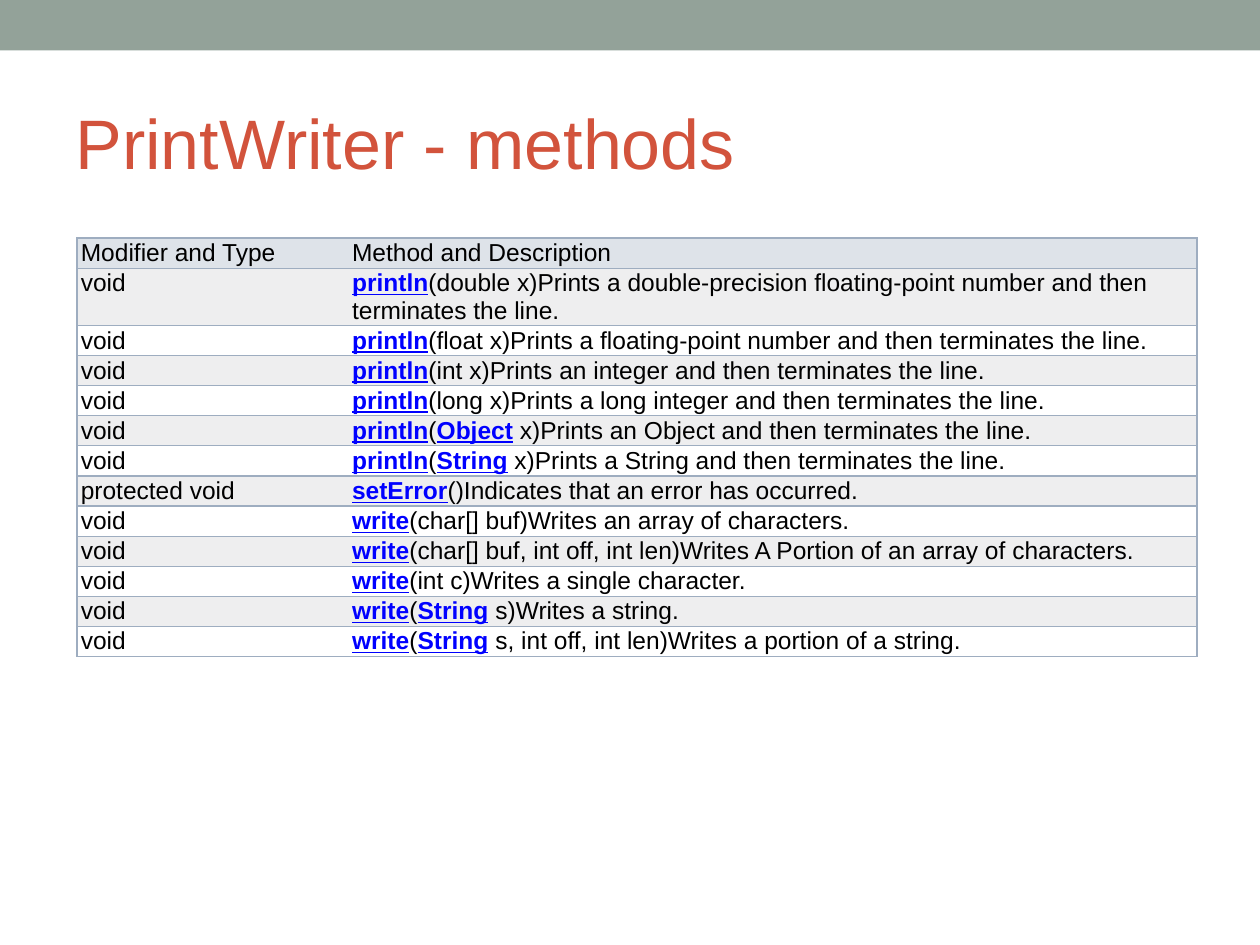
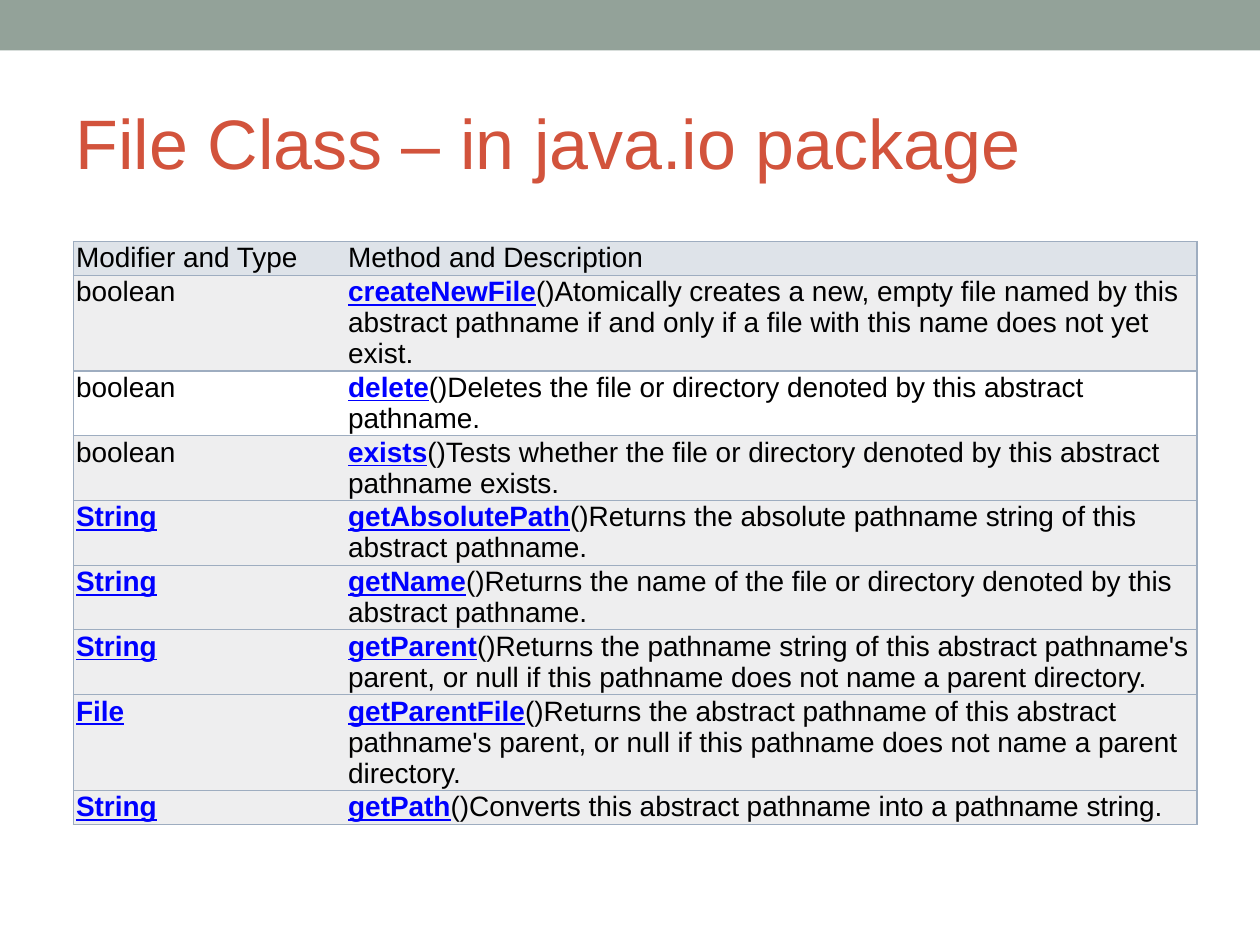
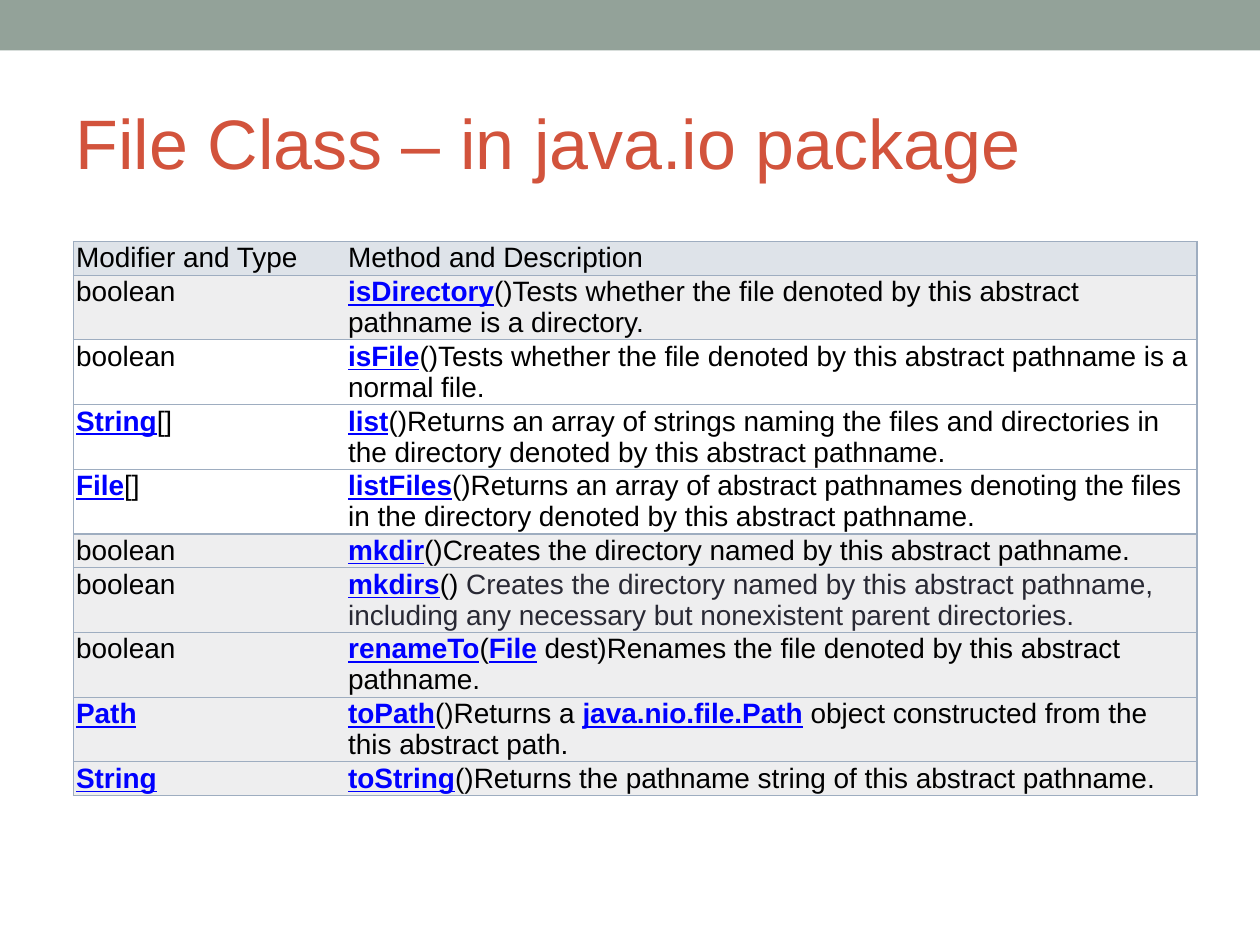
from lxml.etree import SubElement
from pptx import Presentation
from pptx.dml.color import RGBColor
from pptx.enum.shapes import MSO_SHAPE
from pptx.enum.text import MSO_ANCHOR, MSO_AUTO_SIZE, PP_ALIGN
from pptx.oxml.ns import qn
from pptx.util import Pt

FONT = "Arial"
BAND = "93A299"
TITLE = "D2533C"
TEXT = "000000"
MUTED = "292934"
LINK = "0000FF"
BORDER = "9EADC0"
HEADER = "DEE3E9"
SHADED = "EEEEEF"
WHITE = "FFFFFF"
NO_STYLE = "{2D5ABB26-0587-4C30-8999-92F81FD0307C}"

HEADINGS = ("Modifier and Type", "Method and Description", 1)

WRITER_ROWS = [
    ("void", "*println*(double x)Prints a double-precision floating-point number and then terminates the line.", 2),
    ("void", "*println*(float x)Prints a floating-point number and then terminates the line.", 1),
    ("void", "*println*(int x)Prints an integer and then terminates the line.", 1),
    ("void", "*println*(long x)Prints a long integer and then terminates the line.", 1),
    ("void", "*println*(*Object* x)Prints an Object and then terminates the line.", 1),
    ("void", "*println*(*String* x)Prints a String and then terminates the line.", 1),
    ("protected void", "*setError*()Indicates that an error has occurred.", 1),
    ("void", "*write*(char[] buf)Writes an array of characters.", 1),
    ("void", "*write*(char[] buf, int off, int len)Writes A Portion of an array of characters.", 1),
    ("void", "*write*(int c)Writes a single character.", 1),
    ("void", "*write*(*String* s)Writes a string.", 1),
    ("void", "*write*(*String* s, int off, int len)Writes a portion of a string.", 1),
]

FILE_ROWS = [
    ("boolean", "*createNewFile*()Atomically creates a new, empty file named by this abstract pathname "
     "if and only if a file with this name does not yet exist.", 3),
    ("boolean", "*delete*()Deletes the file or directory denoted by this abstract pathname.", 2),
    ("boolean", "*exists*()Tests whether the file or directory denoted by this abstract pathname exists.", 2),
    ("*String*", "*getAbsolutePath*()Returns the absolute pathname string of this abstract pathname.", 2),
    ("*String*", "*getName*()Returns the name of the file or directory denoted by this abstract pathname.", 2),
    ("*String*", "*getParent*()Returns the pathname string of this abstract pathname's parent, "
     "or null if this pathname does not name a parent directory.", 2),
    ("*File*", "*getParentFile*()Returns the abstract pathname of this abstract pathname's parent, "
     "or null if this pathname does not name a parent directory.", 3),
    ("*String*", "*getPath*()Converts this abstract pathname into a pathname string.", 1),
]

DIRECTORY_ROWS = [
    ("boolean", "*isDirectory*()Tests whether the file denoted by this abstract pathname is a directory.", 2),
    ("boolean", "*isFile*()Tests whether the file denoted by this abstract pathname is a normal file.", 2),
    ("*String*[]", "*list*()Returns an array of strings naming the files and directories "
     "in the directory denoted by this abstract pathname.", 2),
    ("*File*[]", "*listFiles*()Returns an array of abstract pathnames denoting the files "
     "in the directory denoted by this abstract pathname.", 2),
    ("boolean", "*mkdir*()Creates the directory named by this abstract pathname.", 1),
    ("boolean", "*mkdirs*()| Creates the directory named by this abstract pathname, "
     "including any necessary but nonexistent parent directories.", 2),
    ("boolean", "*renameTo*(*File* dest)Renames the file denoted by this abstract pathname.", 2),
    ("*Path*", "*toPath*()Returns a *java.nio.file.Path* object constructed from the this abstract path.", 2),
    ("*String*", "*toString*()Returns the pathname string of this abstract pathname.", 1),
]


def rgb(value):
    return RGBColor.from_string(value)


def add_band(prs, layout):
    s = prs.slides.add_slide(layout)
    sp = s.shapes.add_shape(MSO_SHAPE.RECTANGLE, 0, 0, prs.slide_width, Pt(28.8))
    sp.shadow.inherit = False
    sp.fill.solid()
    sp.fill.fore_color.rgb = rgb(BAND)
    sp.line.fill.background()
    layout.shapes._spTree.insert(2, sp._element)
    return s


def set_title(s, text):
    sp = s.shapes.title
    sp.left, sp.top, sp.width, sp.height = Pt(36), Pt(42), Pt(648), Pt(78)
    tf = sp.text_frame
    tf.text = text
    tf.word_wrap = True
    tf.auto_size = MSO_AUTO_SIZE.NONE
    tf.vertical_anchor = MSO_ANCHOR.MIDDLE
    tf.margin_left = tf.margin_right = tf.margin_top = tf.margin_bottom = Pt(7.2)
    p = tf.paragraphs[0]
    p.alignment = PP_ALIGN.LEFT
    p.font.name = FONT
    p.font.size = Pt(40)
    p.font.color.rgb = rgb(TITLE)


def add_borders(cell, sides):
    tcPr = cell._tc.get_or_add_tcPr()
    for side in sides:
        ln = SubElement(tcPr, qn(f"a:ln{side}"), w=str(Pt(0.75)))
        fill = SubElement(ln, qn("a:solidFill"))
        SubElement(fill, qn("a:srgbClr"), val=BORDER)


def add_marked_text(p, text):
    for part, color in zip(text.split("|"), (TEXT, MUTED)):
        for i, piece in enumerate(part.split("*")):
            if not piece:
                continue
            r = p.add_run()
            r.text = piece
            is_link = i % 2 == 1
            r.font.color.rgb = rgb(LINK if is_link else color)
            if is_link:
                r.font.bold = True
                r.font.underline = True


def format_cell(cell, text, size, inset, fill, sides):
    add_borders(cell, sides)
    cell.fill.solid()
    cell.fill.fore_color.rgb = rgb(fill)
    cell.margin_left = Pt(inset)
    cell.margin_right = cell.margin_top = cell.margin_bottom = Pt(0.72)
    p = cell.text_frame.paragraphs[0]
    p.font.name = FONT
    p.font.size = Pt(size)
    add_marked_text(p, text)


def add_method_table(s, methods, white_rows, left, top, widths, size, inset):
    rows = [HEADINGS] + methods
    heights = [Pt(round(1.1 * size * lines + 1, 1)) for _, _, lines in rows]
    frame = s.shapes.add_table(len(rows), len(widths), Pt(left), Pt(top),
                               Pt(sum(widths)), sum(heights))
    table = frame.table
    table.first_row = table.horz_banding = False
    table._tbl.tblPr.find(qn("a:tableStyleId")).text = NO_STYLE
    for column, width in zip(table.columns, widths):
        column.width = Pt(width)
    for i, (kind, method, _) in enumerate(rows):
        table.rows[i].height = heights[i]
        fill = HEADER if i == 0 else WHITE if i in white_rows else SHADED
        for j, (text, sides) in enumerate(((kind, "LTB"), (method, "RTB"))):
            format_cell(table.cell(i, j), text, size, inset, fill, sides)


def main():
    prs = Presentation()
    prs.slide_width, prs.slide_height = Pt(720), Pt(540)
    layout = prs.slide_layouts[5]

    s = add_band(prs, layout)
    set_title(s, "PrintWriter - methods")
    add_method_table(s, WRITER_ROWS, range(2, 13, 2), 44, 136, (155, 485), 14, 2.2)

    for methods, white_rows in ((FILE_ROWS, (2,)), (DIRECTORY_ROWS, (2, 3, 4))):
        s = prs.slides.add_slide(layout)
        set_title(s, "File Class – in java.io package")
        add_method_table(s, methods, white_rows, 42, 138, (155.5, 486.5), 16, 1.5)

    prs.save("out.pptx")


if __name__ == "__main__":
    main()
